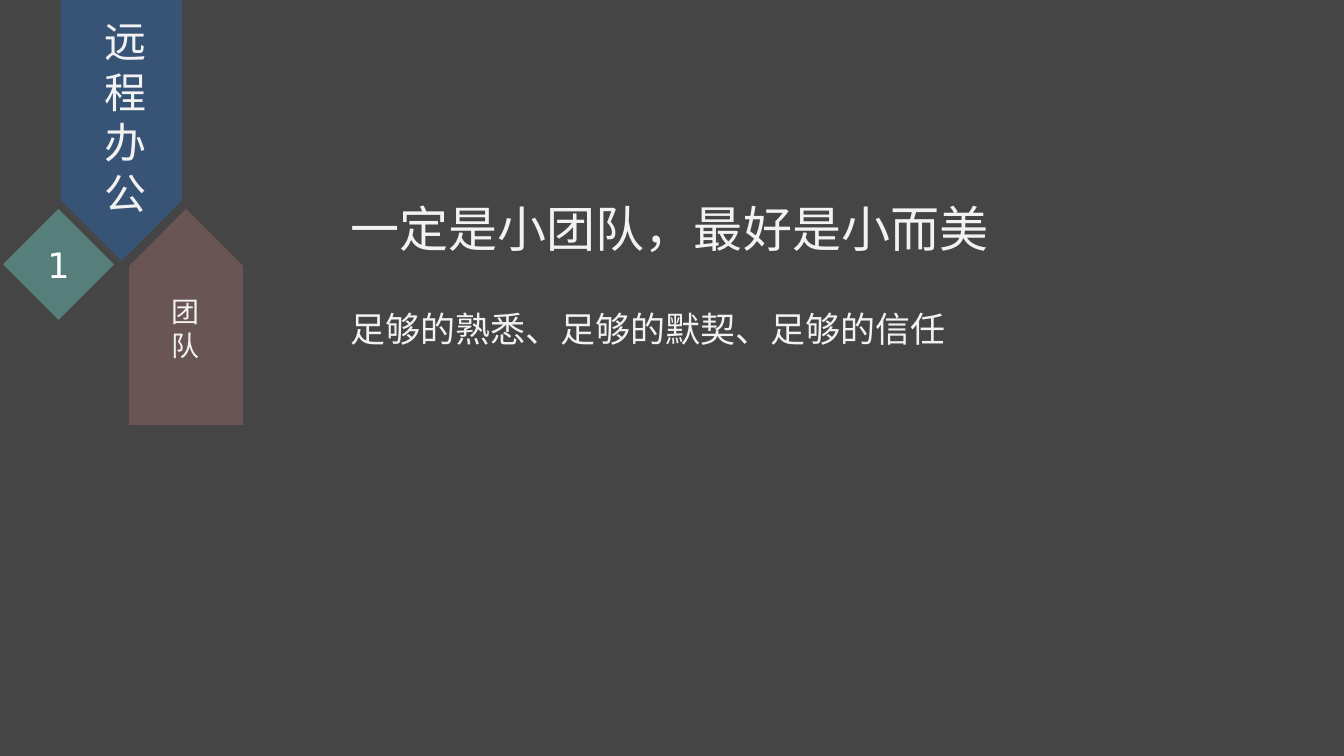
from dataclasses import dataclass

from pptx import Presentation
from pptx.dml.color import RGBColor
from pptx.enum.shapes import MSO_SHAPE
from pptx.enum.text import MSO_ANCHOR, MSO_AUTO_SIZE, PP_ALIGN
from pptx.shapes.autoshape import Shape
from pptx.slide import Slide
from pptx.util import Emu, Pt

PX_PER_INCH = 100.8
FONT = "DejaVu Sans"
PENTAGON, DIAMOND = MSO_SHAPE.PENTAGON, MSO_SHAPE.DIAMOND
TOP, MIDDLE = MSO_ANCHOR.TOP, MSO_ANCHOR.MIDDLE
LEFT, CENTER = PP_ALIGN.LEFT, PP_ALIGN.CENTER
GROW, FIXED = MSO_AUTO_SIZE.SHAPE_TO_FIT_TEXT, MSO_AUTO_SIZE.NONE

CHARCOAL = RGBColor(0x45, 0x45, 0x45)
NAVY = RGBColor(0x37, 0x54, 0x76)
MAROON = RGBColor(0x69, 0x55, 0x54)
TEAL = RGBColor(0x56, 0x7F, 0x7B)
OFF_WHITE = RGBColor(0xF2, 0xF2, 0xF2)
WHITE = RGBColor(0xFF, 0xFF, 0xFF)


@dataclass(frozen=True)
class Box:
    left: int
    top: int
    width: int
    height: int

    def emu(self) -> list[Emu]:
        return [px(n) for n in (self.left, self.top, self.width, self.height)]


@dataclass(frozen=True)
class Tag:
    preset: MSO_SHAPE
    box: Box
    fill: RGBColor
    rotation: int = 0


@dataclass(frozen=True)
class Caption:
    text: str
    box: Box
    size: int


BANNER = Tag(PENTAGON, Box(-9, 70, 261, 121), NAVY, 90)
TEAM = Tag(PENTAGON, Box(78, 260, 216, 114), MAROON, 270)
NUMBER = Tag(DIAMOND, Box(3, 209, 111, 111), TEAL)

CAPTIONS = (
    Caption("远程办公", Box(95, 11, 69, 214), 30),
    Caption("团队", Box(162, 290, 50, 78), 20),
    Caption("一定是小团队，最好是小而美", Box(341, 194, 823, 70), 35),
    Caption("足够的熟悉、足够的默契、足够的信任", Box(341, 303, 782, 52), 25),
)


def px(length: int) -> Emu:
    """Turn pixels into EMU."""
    return Emu(round(length * 914400 / PX_PER_INCH))


def write(shape: Shape, text: str, *, size: int, color: RGBColor = OFF_WHITE,
          align: PP_ALIGN = LEFT, anchor: MSO_ANCHOR = TOP,
          auto_size: MSO_AUTO_SIZE = GROW) -> None:
    """Put formatted, wrapping text into a shape."""
    frame = shape.text_frame
    frame.word_wrap = True
    frame.auto_size = auto_size
    frame.vertical_anchor = anchor
    paragraph = frame.paragraphs[0]
    paragraph.alignment = align
    run = paragraph.add_run()
    run.text = text
    run.font.name = FONT
    run.font.size = Pt(size)
    run.font.color.rgb = color


def draw_tag(slide: Slide, tag: Tag) -> Shape:
    """Draw a flat, borderless colored tag."""
    shape = slide.shapes.add_shape(tag.preset, *tag.box.emu())
    shape.rotation = tag.rotation
    shape.shadow.inherit = False
    shape.fill.solid()
    shape.fill.fore_color.rgb = tag.fill
    shape.line.fill.background()
    return shape


def draw_caption(slide: Slide, caption: Caption) -> None:
    """Draw a caption in its own text box."""
    write(slide.shapes.add_textbox(*caption.box.emu()), caption.text, size=caption.size)


def main() -> None:
    """Build and save the slide."""
    deck = Presentation()
    deck.slide_width, deck.slide_height = px(1344), px(756)
    slide = deck.slides.add_slide(deck.slide_layouts[6])
    slide.background.fill.solid()
    slide.background.fill.fore_color.rgb = CHARCOAL

    draw_tag(slide, BANNER)
    draw_tag(slide, TEAM)
    write(draw_tag(slide, NUMBER), "1", size=25, color=WHITE,
          align=CENTER, anchor=MIDDLE, auto_size=FIXED)
    for caption in CAPTIONS:
        draw_caption(slide, caption)

    deck.save("out.pptx")


if __name__ == "__main__":
    main()
